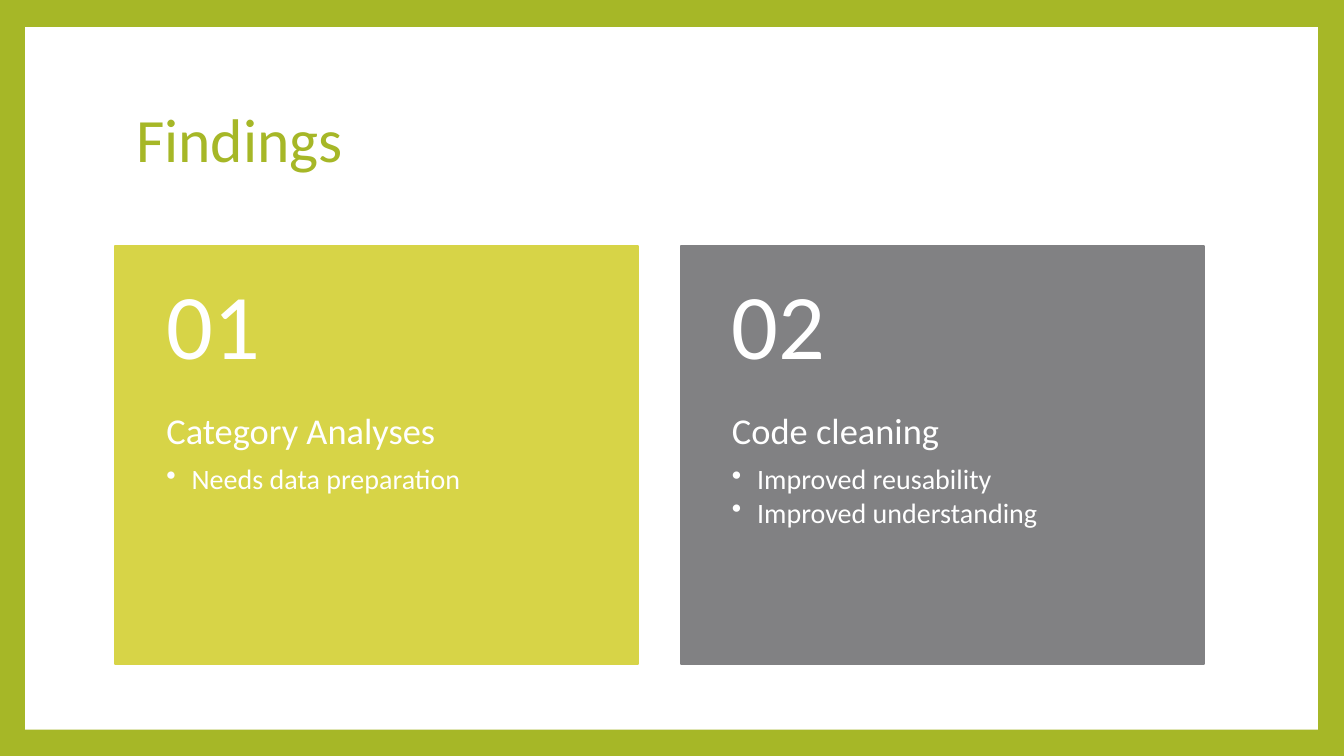
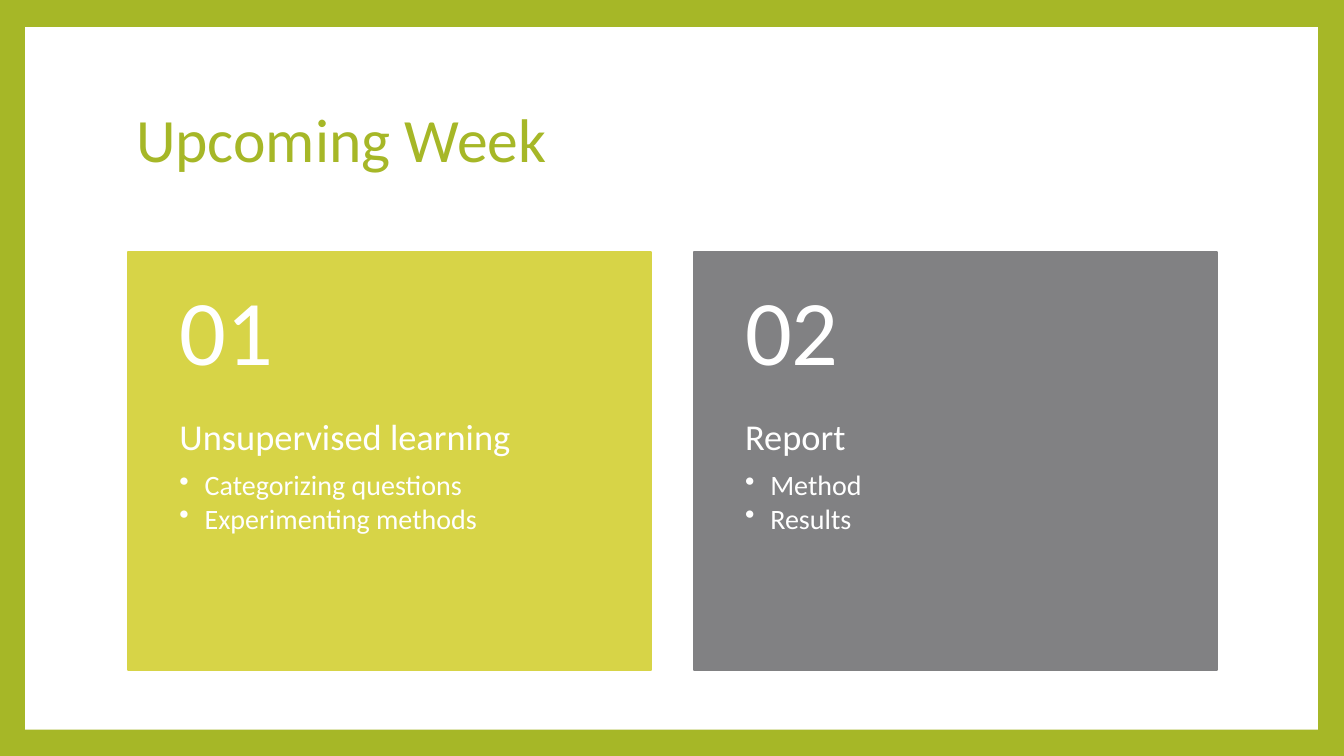
from dataclasses import dataclass

from lxml import etree
from pptx import Presentation
from pptx import util as u
from pptx.dml.color import RGBColor
from pptx.enum import shapes, text
from pptx.oxml.ns import qn

PX = u.Inches(0.01)


@dataclass(frozen=True)
class Theme:
    green: str = "A6B727"
    lime: str = "D7D447"
    grey: str = "818183"
    white: str = "FFFFFF"
    font: str = "Calibri"
    title: int = 44
    number: int = 66
    heading: int = 26
    bullet: int = 20


THEME = Theme()
SLIDE = (1333, 750)
PANEL = (25, 27, 1282, 697)
TITLE = (125, 67, 1080, 148)
CARD_W, CARD_H, CARD_GAP = 519, 415, 42
NUMBER_H = 166
CARD_FILLS = (THEME.lime, THEME.grey)

SLIDES = [
    ("Findings", (114, 244), [
        ("Category Analyses", ["Needs data preparation"]),
        ("Code cleaning", ["Improved reusability", "Improved understanding"]),
    ]),
    ("Upcoming Week", (127, 250), [
        ("Unsupervised learning", ["Categorizing questions", "Experimenting methods"]),
        ("Report", ["Method", "Results"]),
    ]),
]


def emu(box):
    return [v * PX for v in box]


def set_attrs(target, values):
    for name, value in values.items():
        setattr(target, name, value)


def write(p, words, size, color=THEME.white, after=0):
    set_attrs(p, {"alignment": text.PP_ALIGN.LEFT, "line_spacing": 0.9,
                  "space_before": u.Pt(0), "space_after": u.Pt(after)})
    r = p.add_run()
    r.text = words
    set_attrs(r.font, {"name": THEME.font, "size": u.Pt(size)})
    r.font.color.rgb = RGBColor.from_string(color)


def add_bullet(p):
    p.level = 1
    ppr = p._p.get_or_add_pPr()
    ppr.set("marL", str(25 * PX))
    ppr.set("indent", str(-25 * PX))
    etree.SubElement(ppr, qn("a:buChar"), char="•")


def add_rect(parent, box, fill):
    sp = parent.add_shape(shapes.MSO_SHAPE.RECTANGLE, *emu(box))
    sp.shadow.inherit = False
    sp.fill.solid()
    sp.fill.fore_color.rgb = RGBColor.from_string(fill)
    sp.line.color.rgb = RGBColor.from_string(fill)
    sp.line.width = u.Pt(1.5)
    return sp


def add_text_area(parent, box, anchor, top, bottom):
    tf = parent.add_textbox(*emu(box)).text_frame
    set_attrs(tf, {"word_wrap": True, "vertical_anchor": anchor,
                   "margin_left": 51 * PX, "margin_right": 51 * PX,
                   "margin_top": top * PX, "margin_bottom": bottom * PX})
    return tf


def add_card(s, box, fill, number, heading, bullets):
    """Group a filled card with its number above a heading and bullets."""
    x, y, w, h = box
    card = s.shapes.add_group_shape().shapes
    add_rect(card, box, fill)

    body = add_text_area(card, (x, y + NUMBER_H, w, h - NUMBER_H),
                         text.MSO_ANCHOR.TOP, 0, 36)
    write(body.paragraphs[0], heading, THEME.heading, after=9)
    for words in bullets:
        p = body.add_paragraph()
        write(p, words, THEME.bullet, after=2.4)
        add_bullet(p)

    head = add_text_area(card, (x, y, w, NUMBER_H), text.MSO_ANCHOR.MIDDLE, 18, 18)
    write(head.paragraphs[0], f"{number:02d}", THEME.number)


def add_title(s, box, words):
    title = s.shapes.title
    set_attrs(title, dict(zip(("left", "top", "width", "height"), emu(box))))
    tf = title.text_frame
    set_attrs(tf, {"word_wrap": True, "vertical_anchor": text.MSO_ANCHOR.MIDDLE})
    write(tf.paragraphs[0], words, THEME.title, THEME.green)


def add_panel(s, box):
    """Lay the white panel behind the title."""
    panel = add_rect(s.shapes, box, THEME.white)
    panel.line.fill.background()
    s.shapes.title.element.addprevious(panel.element)


def add_card_slide(prs, title, origin, cards):
    s = prs.slides.add_slide(prs.slide_layouts[5])
    add_panel(s, PANEL)
    add_title(s, TITLE, title)
    left, top = origin
    for i, (fill, (heading, bullets)) in enumerate(zip(CARD_FILLS, cards)):
        box = (left + i * (CARD_W + CARD_GAP), top, CARD_W, CARD_H)
        add_card(s, box, fill, i + 1, heading, bullets)


def main():
    prs = Presentation()
    prs.slide_width, prs.slide_height = emu(SLIDE)
    background = prs.slide_master.background.fill
    background.solid()
    background.fore_color.rgb = RGBColor.from_string(THEME.green)
    for title, origin, cards in SLIDES:
        add_card_slide(prs, title, origin, cards)
    prs.save("out.pptx")


if __name__ == "__main__":
    main()
